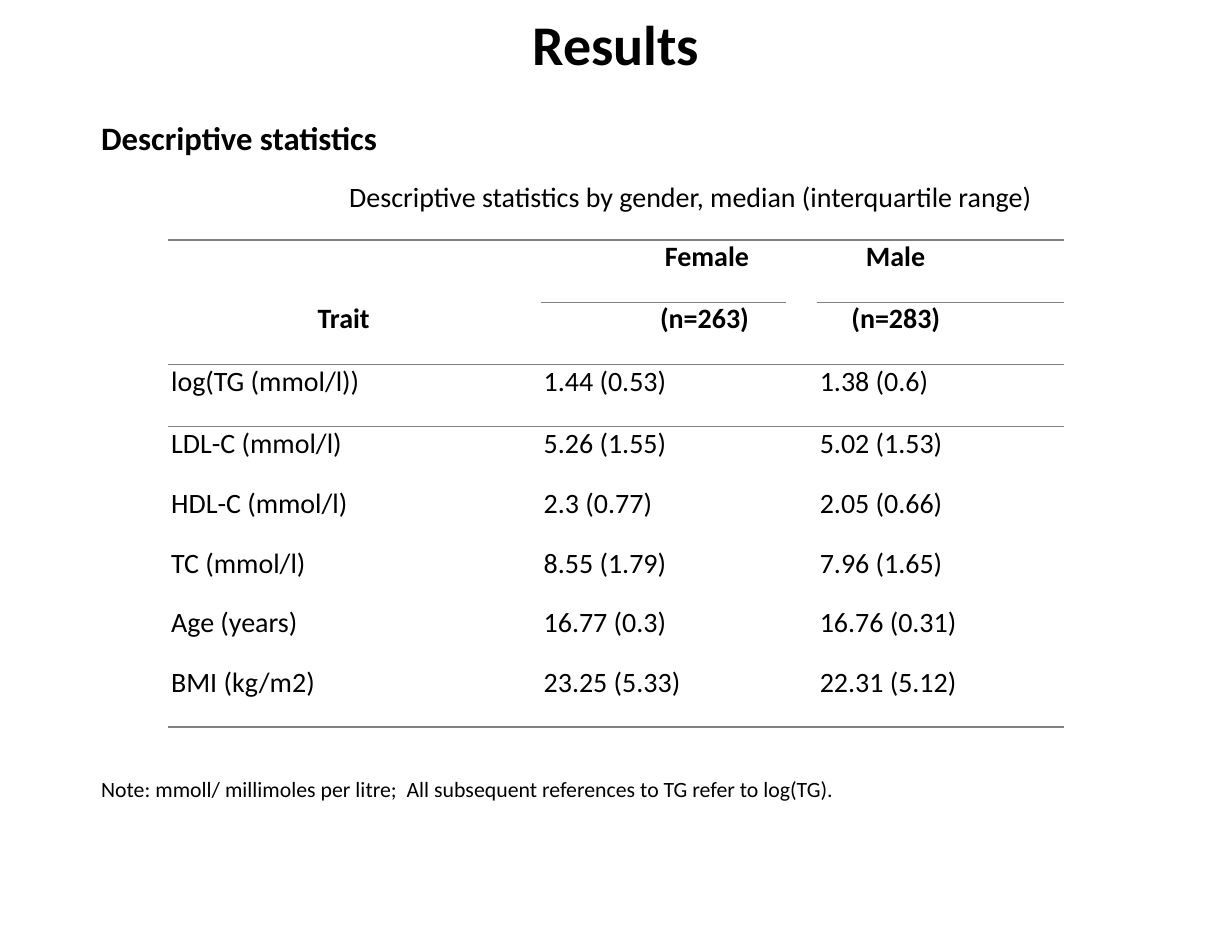
from lxml import etree
from pptx import Presentation
from pptx.dml.color import RGBColor
from pptx.enum.text import PP_ALIGN
from pptx.oxml.ns import qn
from pptx.util import Pt

LEFT, CENTER, RIGHT = PP_ALIGN.LEFT, PP_ALIGN.CENTER, PP_ALIGN.RIGHT
COLORS = {"text": "000000", "rule": "808080"}
FONT = "Calibri"
NO_STYLE = "{2D5ABB26-0587-4C30-8999-92F81FD0307C}"
THICK, THIN = 1.5, 0.75
COLUMN_WIDTHS = [239.5, 157.5, 20, 159]
ROW_HEIGHTS = [40.3, 40, 40, 38.5, 38.5, 38.5, 38.5, 39.3]
TRAITS = [
    ("log(TG (mmol/l))", "1.44 (0.53)", "1.38 (0.6)"),
    ("LDL-C (mmol/l)", "5.26 (1.55)", "5.02 (1.53)"),
    ("HDL-C (mmol/l)", "2.3 (0.77)", "2.05 (0.66)"),
    ("TC (mmol/l)", "8.55 (1.79)", "7.96 (1.65)"),
    ("Age (years)", "16.77 (0.3)", "16.76 (0.31)"),
    ("BMI (kg/m2)", "23.25 (5.33)", "22.31 (5.12)"),
]


def clear_margins(frame):
    for side in ("left", "top", "right", "bottom"):
        setattr(frame, "margin_" + side, 0)


def write_paragraph(paragraph, text, size, bold=False, align=LEFT,
                    indent=0, right_indent=0, before=None):
    paragraph.text = text
    paragraph.alignment = align
    properties = paragraph._p.get_or_add_pPr()
    properties.set("marL", str(int(Pt(indent))))
    properties.set("marR", str(int(Pt(right_indent))))
    if before is not None:
        paragraph.space_before = Pt(before)
    font_format = {"name": FONT, "size": Pt(size), "bold": bold}
    for name, value in font_format.items():
        setattr(paragraph.font, name, value)
    paragraph.font.color.rgb = RGBColor.from_string(COLORS["text"])


def add_text(slide, box, lines):
    frame = slide.shapes.add_textbox(*map(Pt, box)).text_frame
    frame.word_wrap = True
    clear_margins(frame)
    for index, line in enumerate(lines):
        paragraph = frame.add_paragraph() if index else frame.paragraphs[0]
        write_paragraph(paragraph, **line)


def add_title(slide, box):
    add_text(slide, box, [
        {"text": "Results", "size": 36, "bold": True, "align": CENTER}])


def add_heading(slide, box):
    add_text(slide, box, [
        {"text": "Descriptive statistics", "size": 21, "bold": True, "indent": 1},
        {"text": "Descriptive statistics by gender, median (interquartile range)",
         "size": 18, "indent": 160.5, "before": 14.8}])


def add_note(slide, box):
    add_text(slide, box, [
        {"text": "Note: mmoll/ millimoles per litre;  All subsequent references "
                 "to TG refer to log(TG).", "size": 14, "indent": 1}])


def set_borders(cell, borders):
    properties = cell._tc.get_or_add_tcPr()
    for position, (edge, width) in enumerate(borders.items()):
        line = etree.Element(qn("a:" + edge), w=str(int(Pt(width))))
        if width:
            fill = etree.SubElement(line, qn("a:solidFill"))
            etree.SubElement(fill, qn("a:srgbClr"), val=COLORS["rule"])
        else:
            etree.SubElement(line, qn("a:noFill"))
        properties.insert(position, line)


def rule_below(row, column):
    if row in (-1, len(ROW_HEIGHTS) - 1):
        return THICK
    if row == 0:
        return THIN if column in (1, 3) else 0
    return THIN if row in (1, 2) else 0


def fill_cells(table):
    female = {"align": RIGHT, "right_indent": 23.5}
    cells = {
        (0, 1): ("Female", female),
        (0, 3): ("Male", {"indent": 31.7}),
        (1, 0): ("Trait", {"align": CENTER, "right_indent": 13.7}),
        (1, 1): ("(n=263)", female),
        (1, 3): ("(n=283)", {"indent": 22.3}),
    }
    for row, values in enumerate(TRAITS, start=2):
        for column, value in zip((0, 1, 3), values):
            cells[row, column] = (value, {"indent": 2})
    for (row, column), (text, layout) in cells.items():
        paragraph = table.cell(row, column).text_frame.paragraphs[0]
        write_paragraph(paragraph, text, 18, bold=row < 2, **layout)


def add_statistics_table(slide, box):
    shape = slide.shapes.add_table(
        len(ROW_HEIGHTS), len(COLUMN_WIDTHS), *map(Pt, box))
    table = shape.table
    table.first_row = table.horz_banding = False
    for style in table._tbl.iter(qn("a:tableStyleId")):
        style.text = NO_STYLE
    for column, width in zip(table.columns, COLUMN_WIDTHS):
        column.width = Pt(width)
    for row, height in zip(table.rows, ROW_HEIGHTS):
        row.height = Pt(height)
    for row in range(len(ROW_HEIGHTS)):
        for column in range(len(COLUMN_WIDTHS)):
            cell = table.cell(row, column)
            clear_margins(cell)
            cell.fill.background()
            set_borders(cell, {
                "lnL": 0, "lnR": 0,
                "lnT": rule_below(row - 1, column),
                "lnB": rule_below(row, column)})
    fill_cells(table)


def main():
    presentation = Presentation()
    presentation.slide_width, presentation.slide_height = Pt(792), Pt(612)
    slide = presentation.slides.add_slide(presentation.slide_layouts[6])
    add_title(slide, (43, 6, 706, 44))
    add_heading(slide, (64, 75.6, 685, 62.6))
    add_statistics_table(
        slide, (108, 154, sum(COLUMN_WIDTHS), sum(ROW_HEIGHTS)))
    add_note(slide, (64, 499, 536, 17.3))
    presentation.save("out.pptx")


if __name__ == "__main__":
    main()
